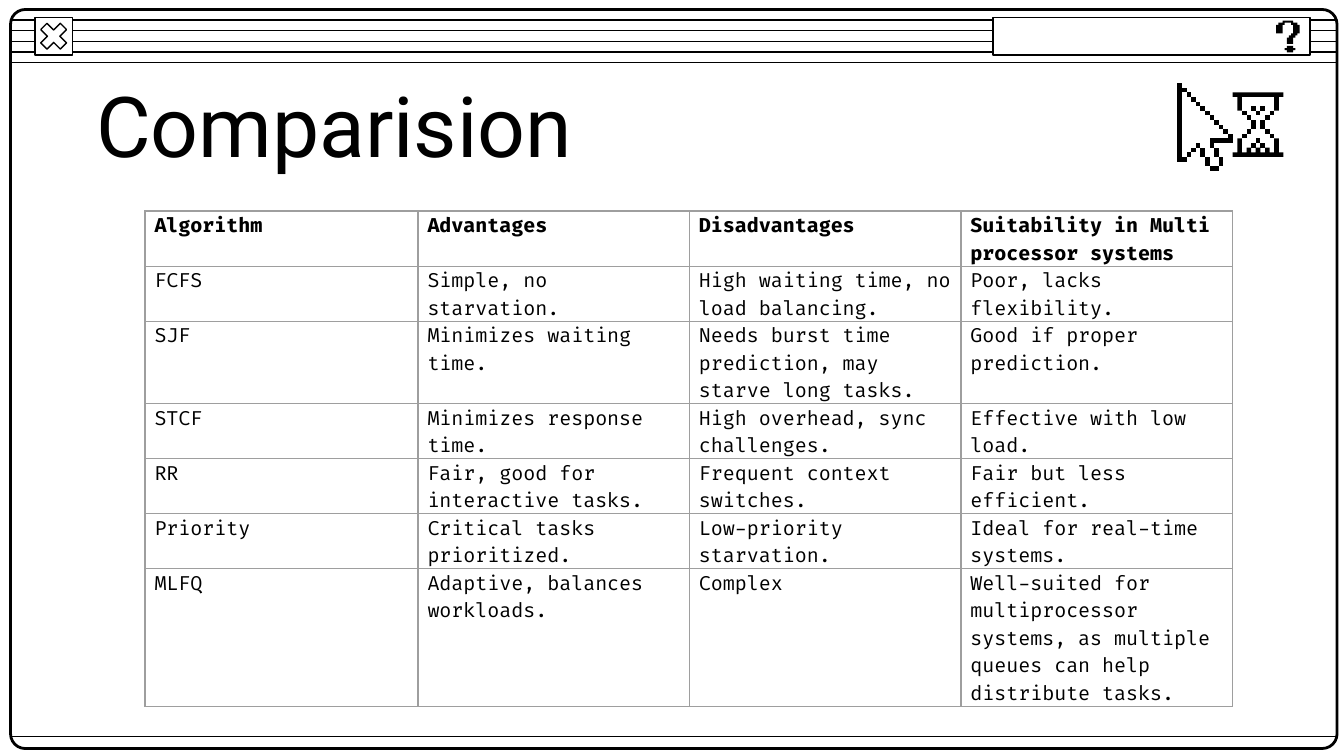
from lxml.etree import SubElement
from pptx import Presentation
from pptx.dml.color import RGBColor
from pptx.enum.shapes import MSO_CONNECTOR, MSO_SHAPE as Preset
from pptx.enum.text import MSO_ANCHOR
from pptx.oxml import parse_xml
from pptx.oxml.ns import nsdecls, qn
from pptx.util import Cm, Pt

BLACK = RGBColor(0, 0, 0)
WHITE = RGBColor(255, 255, 255)
BORDER_GREY = RGBColor(0x9E, 0x9E, 0x9E)

deck = Presentation()
deck.slide_width, deck.slide_height = Cm(25.4), Cm(14.29)
slide = deck.slides.add_slide(deck.slide_layouts[6])
shapes = slide.shapes


def add_box(preset, left, top, width, height, fill=None, weight=0.75):
    box = shapes.add_shape(preset, Cm(left), Cm(top), Cm(width), Cm(height))
    box.shadow.inherit = False
    if fill is None:
        box.fill.background()
    else:
        box.fill.solid()
        box.fill.fore_color.rgb = fill
    box.line.color.rgb = BLACK
    box.line.width = Pt(weight)
    return box


def add_pixels(points, color, left, top, pixel):
    """Draw a closed outline given in pixel-grid coordinates."""
    outline = shapes.build_freeform(*points[0], scale=pixel)
    outline.add_line_segments(points[1:], close=True)
    icon = outline.convert_to_shape(left, top)
    icon.shadow.inherit = False
    icon.fill.solid()
    icon.fill.fore_color.rgb = color
    icon.line.fill.background()


# Window: title bar stripes, bottom rule, frame
stripes = [0.38 + 0.2 * i for i in range(5)]
for y in stripes + [13.92]:
    stripe = shapes.add_connector(MSO_CONNECTOR.STRAIGHT, Cm(0.2), Cm(y), Cm(25.27), Cm(y))
    stripe.line.color.rgb = BLACK
    stripe.line.width = Pt(0.75)
    SubElement(stripe._element.spPr, qn("a:effectLst"))
frame = add_box(Preset.ROUNDED_RECTANGLE, 0.2, 0.18, 25.07, 13.97, weight=1.5)
frame.adjustments[0] = 0.02

# Close button and help field
add_box(Preset.RECTANGLE, 0.66, 0.33, 0.71, 0.71, WHITE)
close_cross = add_box(Preset.MATH_MULTIPLY, 0.66, 0.33, 0.71, 0.71, WHITE)
close_cross.adjustments[0] = 0.235
add_box(Preset.RECTANGLE, 18.77, 0.33, 5.99, 0.71, WHITE)

# Question mark
question_hook = [
    (3, 0), (3, 1), (1, 1), (1, 2), (0, 2), (0, 6), (3, 6), (3, 2), (4, 2), (4, 1), (7, 1),
    (7, 2), (8, 2), (8, 6), (7, 6), (7, 7), (6, 7), (6, 8), (5, 8), (5, 11), (8, 11), (8, 8),
    (9, 8), (9, 7), (10, 7), (10, 6), (11, 6), (11, 2), (10, 2), (10, 1), (8, 1), (8, 0)]
question_dot = [
    (5, 12), (5, 13), (4, 13), (4, 14), (5, 14), (5, 15),
    (8, 15), (8, 14), (9, 14), (9, 13), (8, 13), (8, 12)]
for part in (question_dot, question_hook):
    add_pixels(part, BLACK, Cm(24.12), Cm(0.39), Cm(0.04))

# Title
title_box = shapes.add_textbox(Cm(1.57), Cm(1.45), Cm(12.95), Cm(1.8))
title = title_box.text_frame
title.word_wrap = True
title.vertical_anchor = MSO_ANCHOR.MIDDLE
title.margin_left = title.margin_right = title.margin_top = title.margin_bottom = Cm(0.25)
heading = title.paragraphs[0]
heading.text = "Comparision"
heading.font.size = Pt(45)
heading.font.name = "Roboto"
heading.font.color.rgb = BLACK

# Cursor and hourglass share one pixel grid
PIXEL = Cm(1.57) / 18
CURSOR_X, CURSOR_Y = Cm(22.25), Cm(1.57)
GLASS_X, GLASS_Y = CURSOR_X + int(12 * PIXEL), CURSOR_Y + int(2 * PIXEL)

# Cursor: white body, then black edge blocks as (x, y, width, height)
cursor_body = [
    (0, 0), (0, 17), (2, 17), (2, 16), (3, 16), (3, 15), (4, 15), (4, 14), (5, 14), (5, 16),
    (6, 16), (6, 18), (7, 18), (7, 19), (9, 19), (9, 18), (10, 18), (10, 16), (9, 16), (9, 14),
    (8, 14), (8, 13), (12, 13), (12, 11)]
for step in range(11, 0, -1):
    cursor_body += [(step, step), (step, step - 1)]
add_pixels(cursor_body, WHITE, CURSOR_X, CURSOR_Y, PIXEL)
cursor_blocks = [(0, 0, 1, 17)] + [(i, i, 1, 1) for i in range(1, 12)] + [
    (7, 12, 5, 1), (7, 13, 1, 1), (4, 13, 1, 1), (5, 14, 1, 2), (6, 16, 1, 2), (7, 18, 2, 1),
    (8, 14, 1, 2), (9, 16, 1, 2), (3, 14, 1, 1), (2, 15, 1, 1), (1, 16, 1, 1)]

# Hourglass: left halves, mirrored across its 11 columns
glass_body = [
    (0, 0), (0, 1), (1, 1), (1, 4), (2, 4), (2, 5), (3, 5), (3, 6), (4, 6), (4, 8), (3, 8),
    (3, 9), (2, 9), (2, 10), (1, 10), (1, 13), (0, 13), (0, 14)]
glass_top = [(2, 1), (2, 4), (1, 4), (1, 1), (0, 1), (0, 0)]
glass_base = [
    (5, 12), (5, 13), (4, 13), (4, 12), (3, 12), (3, 13), (2, 13), (2, 10),
    (1, 10), (1, 13), (0, 13), (0, 14)]
for half, color in ((glass_body, WHITE), (glass_top, BLACK), (glass_base, BLACK)):
    mirrored = [(11 - x, y) for x, y in reversed(half)]
    add_pixels(half + mirrored, color, GLASS_X, GLASS_Y, PIXEL)
glass_left = [
    (2, 4, 1, 1), (3, 5, 1, 1), (4, 3, 1, 1), (4, 6, 1, 2),
    (3, 8, 1, 1), (2, 9, 1, 1), (4, 11, 1, 1)]
glass_blocks = glass_left + [(10 - x, y, w, h) for x, y, w, h in glass_left]
glass_blocks += [(5, 4, 1, 1), (5, 10, 1, 1)]

for blocks, left, top in ((cursor_blocks, CURSOR_X, CURSOR_Y), (glass_blocks, GLASS_X, GLASS_Y)):
    for x, y, w, h in blocks:
        corners = [(x, y), (x, y + h), (x + w, y + h), (x + w, y)]
        add_pixels(corners, BLACK, left, top, PIXEL)

# Comparison table: lines of text per row, then its cells
rows = [
    (2, "Algorithm", "Advantages", "Disadvantages", "Suitability in Multi processor systems"),
    (2, "FCFS", "Simple, no starvation.", "High waiting time, no load balancing.",
     "Poor, lacks flexibility."),
    (3, "SJF", "Minimizes waiting time.", "Needs burst time prediction, may starve long tasks.",
     "Good if proper prediction."),
    (2, "STCF", "Minimizes response time.", "High overhead, sync challenges.",
     "Effective with low load."),
    (2, "RR", "Fair, good for interactive tasks.", "Frequent context switches.",
     "Fair but less efficient."),
    (2, "Priority", "Critical tasks prioritized.", "Low-priority starvation.",
     "Ideal for real-time systems."),
    (5, "MLFQ", "Adaptive, balances workloads.", "Complex",
     "Well-suited for multiprocessor systems, as multiple queues can help distribute tasks."),
]
LINE_HEIGHT = 0.52
table_height = LINE_HEIGHT * sum(row[0] for row in rows)
comparison = shapes.add_table(
    len(rows), 4, Cm(2.74), Cm(3.99), Cm(20.55), Cm(table_height)).table
comparison.first_row = comparison.horz_banding = False
for column, width in zip(comparison.columns, (5.16, 5.13, 5.13, 5.13)):
    column.width = Cm(width)

for r, (line_count, *entries) in enumerate(rows):
    comparison.rows[r].height = Cm(LINE_HEIGHT * line_count)
    for c, entry in enumerate(entries):
        cell = comparison.cell(r, c)
        cell.margin_left = cell.margin_right = Cm(0.18)
        cell.margin_top = cell.margin_bottom = 0
        for side in "LRTB":
            cell._tc.get_or_add_tcPr().append(parse_xml(
                f'<a:ln{side} {nsdecls("a")} w="{Pt(0.75)}"><a:solidFill>'
                f'<a:srgbClr val="{BORDER_GREY}"/></a:solidFill></a:ln{side}>'))
        cell.fill.background()
        paragraph = cell.text_frame.paragraphs[0]
        paragraph.text = entry
        paragraph.line_spacing = 1.15
        paragraph.space_after = Pt(10)
        paragraph.font.size = Pt(10.5)
        paragraph.font.name = "Fira Code"
        paragraph.font.bold = r == 0
        paragraph.font.color.rgb = BLACK

deck.save("out.pptx")
